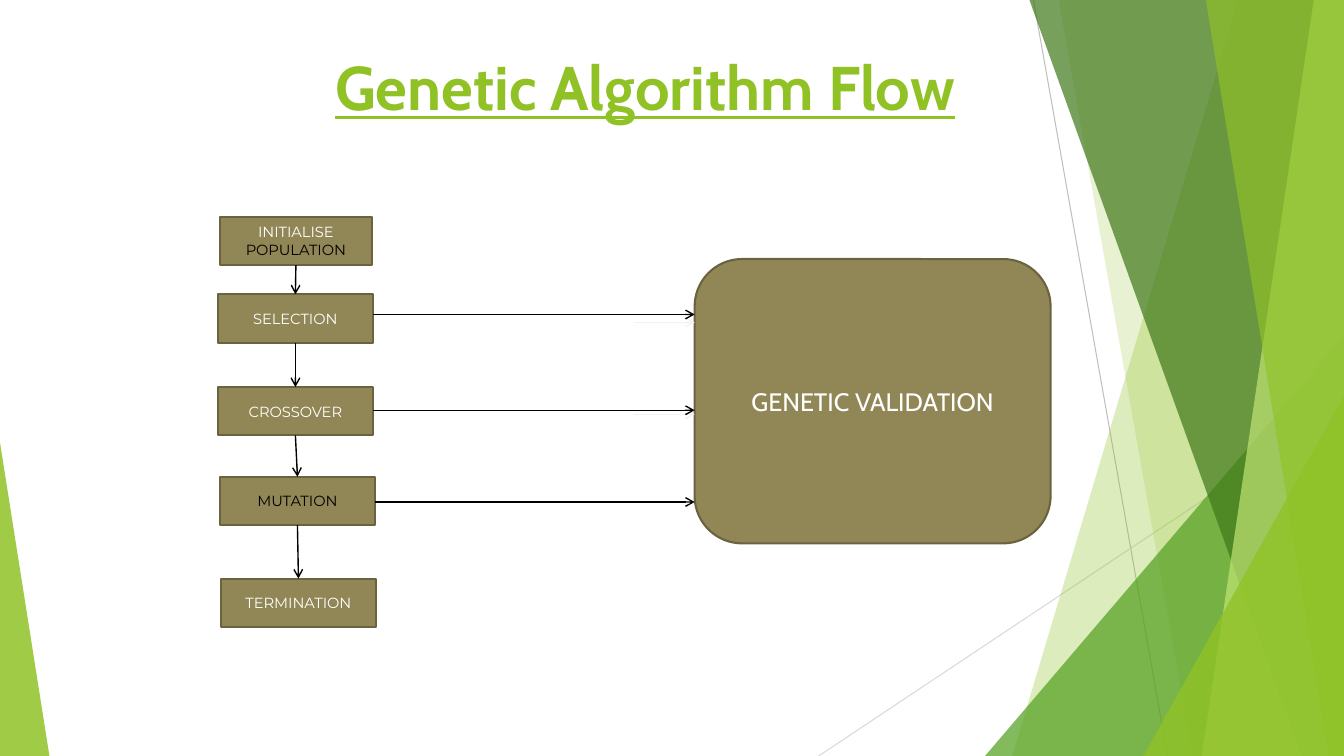
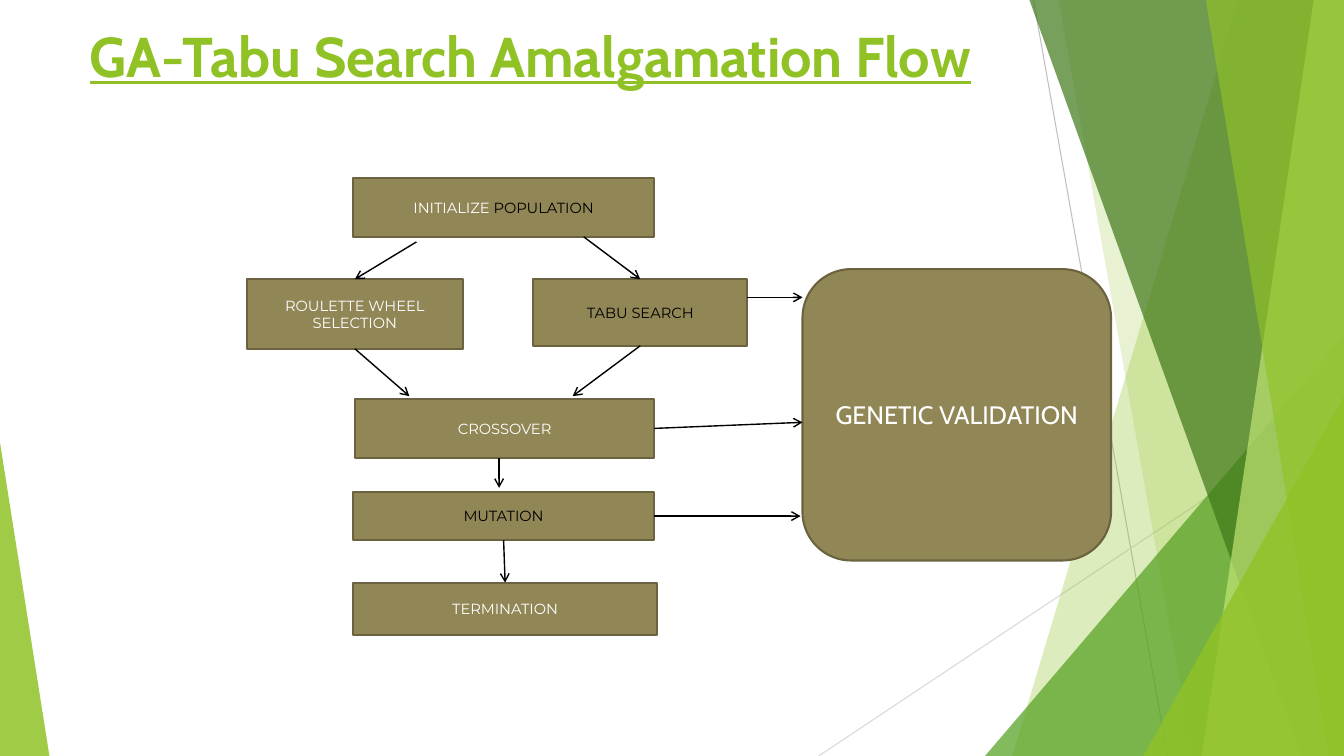
from dataclasses import dataclass

from lxml import etree
from pptx import Presentation
from pptx.dml.color import RGBColor
from pptx.enum import shapes, text
from pptx.oxml import ns
from pptx.util import Inches, Pt

WIDTH, HEIGHT = 13.33, 7.5
WHITE, BLACK, PALE = "FFFFFF", "000000", "F2F2F2"
LIME, GREEN, FOREST, LIGHT_LIME = "90C226", "54A021", "3F7819", "C0E474"
OLIVE, DARK_OLIVE = "918655", "6B633F"
TITLE_FONT, STEP_FONT = "Cabin", "Montserrat"

HAIRLINES = [((10.25, 0), (11.58, HEIGHT), "BFBFBF"),
             ((WIDTH, 4.03), (8.12, HEIGHT), "D9D9D9")]
# Bands run to the right edge: left end at the top, left end at the bottom.
# Wedges are right-angled triangles: left, top, width, apex position.
BACK_BANDS = [(12.28, 10.04, LIME, 30), (10.5, 11.83, LIME, 20)]
BACK_WEDGE = (9.77, 3.33, 3.56, 1, GREEN, 72)
FRONT_BANDS = [(10.21, 12.91, FOREST, 70), (13.03, 11.92, LIGHT_LIME, 70),
               (11.96, 13.18, LIME, 65)]
FRONT_WEDGES = [(11.34, 3.93, 1.99, 1, LIME, 80), (0, 4.39, 0.49, 0, LIME, 85)]


def rgb(value):
    return RGBColor.from_string(value)


def paint(shape, color, opacity=100):
    """Give a flat fill of the given opacity, without line or shadow."""
    shape.shadow.inherit = False
    shape.fill.solid()
    shape.fill.fore_color.rgb = rgb(color)
    shape.line.fill.background()
    if opacity < 100:
        tint = shape._element.spPr.find(ns.qn("a:solidFill"))[0]
        etree.SubElement(tint, ns.qn("a:alpha"), val=str(opacity * 1000))


def style_run(run, font, size, color):
    run.font.name = font
    run.font.size = Pt(size)
    run.font.color.rgb = rgb(color)


def draw_line(slide, start, end, color, weight, arrow=False):
    points = [Inches(value) for value in (*start, *end)]
    line = slide.shapes.add_connector(shapes.MSO_CONNECTOR.STRAIGHT, *points)
    line.line.color.rgb = rgb(color)
    line.line.width = Pt(weight)
    if arrow:
        outline = line._element.spPr.find(ns.qn("a:ln"))
        etree.SubElement(outline, ns.qn("a:tailEnd"), type="arrow")
    etree.SubElement(line._element.spPr, ns.qn("a:effectLst"))


def draw_band(slide, top_left, bottom_left, color, opacity):
    outline = slide.shapes.build_freeform(Inches(top_left), 0)
    corners = [(WIDTH, 0), (WIDTH, HEIGHT), (bottom_left, HEIGHT)]
    outline.add_line_segments([(Inches(x), Inches(y)) for x, y in corners])
    paint(outline.convert_to_shape(), color, opacity)


def draw_wedge(slide, left, top, width, apex, color, opacity):
    wedge = slide.shapes.add_shape(
        shapes.MSO_SHAPE.ISOSCELES_TRIANGLE, Inches(left), Inches(top),
        Inches(width), Inches(HEIGHT - top))
    wedge.adjustments[0] = apex
    paint(wedge, color, opacity)


def draw_facets(slide):
    """Draw the green facets along both edges of the slide."""
    for start, end, color in HAIRLINES:
        draw_line(slide, start, end, color, 0.75)
    for band in BACK_BANDS:
        draw_band(slide, *band)
    draw_wedge(slide, *BACK_WEDGE)
    for band in FRONT_BANDS:
        draw_band(slide, *band)
    for wedge in FRONT_WEDGES:
        draw_wedge(slide, *wedge)


def add_title(slide, wording, left, top, width, height, size):
    title = slide.shapes.add_textbox(
        Inches(left), Inches(top), Inches(width), Inches(height))
    title.text_frame.word_wrap = True
    paragraph = title.text_frame.paragraphs[0]
    paragraph.text = wording
    paragraph.alignment = text.PP_ALIGN.CENTER
    run = paragraph.runs[0]
    style_run(run, TITLE_FONT, size, LIME)
    run.font.bold = run.font.underline = True


@dataclass
class Box:
    left: float
    top: float
    width: float
    height: float

    @property
    def right(self):
        return self.left + self.width

    @property
    def top_middle(self):
        return self.left + self.width / 2, self.top

    @property
    def bottom_middle(self):
        return self.left + self.width / 2, self.top + self.height

    @property
    def right_middle(self):
        return self.right, self.top + self.height / 2


@dataclass
class Flow:
    """A flow chart whose parts are placed from its left top corner."""
    slide: object
    left: float
    top: float

    def block(self, box, wording, font=STEP_FONT, size=10.5,
              kind=shapes.MSO_SHAPE.RECTANGLE):
        """Draw a box; wording is a list of (text, colour)."""
        shape = self.slide.shapes.add_shape(
            kind, Inches(self.left + box.left), Inches(self.top + box.top),
            Inches(box.width), Inches(box.height))
        paint(shape, OLIVE)
        shape.line.color.rgb = rgb(DARK_OLIVE)
        shape.line.width = Pt(1.5)
        frame = shape.text_frame
        frame.word_wrap = True
        frame.vertical_anchor = text.MSO_ANCHOR.MIDDLE
        paragraph = frame.paragraphs[0]
        paragraph.alignment = text.PP_ALIGN.CENTER
        for words, color in wording:
            run = paragraph.add_run()
            run.text = words
            style_run(run, font, size, color)
        return box

    def validation(self, box):
        return self.block(box, [("GENETIC VALIDATION", WHITE)], TITLE_FONT, 18,
                          shapes.MSO_SHAPE.ROUNDED_RECTANGLE)

    def arrow(self, start, end, color=BLACK):
        start, end = [(self.left + x, self.top + y) for x, y in (start, end)]
        draw_line(self.slide, start, end, color, 1, arrow=True)


def draw_genetic_flow(slide, left, top):
    flow = Flow(slide, left, top)
    steps = [
        flow.block(Box(x, y, width, 0.48), wording) for x, y, width, wording in [
            (0.02, 0, 1.51, [("INITIALISE ", WHITE), ("POPULATION", BLACK)]),
            (0, 0.77, 1.54, [("SELECTION", WHITE)]),
            (0, 1.69, 1.54, [("CROSSOVER", WHITE)]),
            (0.02, 2.58, 1.54, [("MUTATION", BLACK)]),
            (0.03, 3.59, 1.54, [("TERMINATION", WHITE)])]]
    validation = flow.validation(Box(4.73, 0.42, 3.53, 2.82))
    for y in (1.05, 1.96):
        flow.arrow((validation.left - 0.6, y), (validation.left, y), PALE)
    for step, following in zip(steps, steps[1:]):
        flow.arrow(step.bottom_middle, following.top_middle)
    for step, y in zip(steps[1:4], (0.97, 1.92, 2.83)):
        flow.arrow((step.right, y), (validation.left, y))


def draw_amalgamation_flow(slide, left, top):
    flow = Flow(slide, left, top)
    initial = flow.block(Box(1.05, 0, 2.99, 0.58),
                         [("INITIALIZE ", WHITE), ("POPULATION", BLACK)])
    roulette = flow.block(Box(0, 1, 2.14, 0.69),
                          [("ROULETTE WHEEL SELECTION", WHITE)])
    tabu = flow.block(Box(2.84, 1, 2.12, 0.66), [("TABU SEARCH", BLACK)])
    crossover = flow.block(Box(1.07, 2.19, 2.97, 0.58), [("CROSSOVER", WHITE)])
    mutation = flow.block(Box(1.05, 3.11, 2.99, 0.48), [("MUTATION", BLACK)])
    termination = flow.block(Box(1.05, 4.01, 3.02, 0.52),
                             [("TERMINATION", WHITE)])
    validation = flow.validation(Box(5.51, 0.9, 3.06, 2.89))
    for start, end in [
            ((1.68, 0.63), roulette.top_middle),
            ((3.34, initial.height), tabu.top_middle),
            (roulette.bottom_middle, (1.61, 2.16)),
            (tabu.bottom_middle, (3.23, 2.16)),
            ((2.5, 2.77), (2.5, 3.07)),
            (mutation.bottom_middle, termination.top_middle),
            ((tabu.right, 1.18), (validation.left, 1.18)),
            (crossover.right_middle, (validation.left, 2.42)),
            (mutation.right_middle, (validation.left - 0.02, 3.35))]:
        flow.arrow(start, end)


def add_slide(deck):
    slide = deck.slides.add_slide(deck.slide_layouts[6])
    draw_facets(slide)
    return slide


def main():
    deck = Presentation()
    deck.slide_width, deck.slide_height = Inches(WIDTH), Inches(HEIGHT)

    genetic = add_slide(deck)
    draw_genetic_flow(genetic, 2.16, 2.15)
    add_title(genetic, "Genetic Algorithm Flow", 1.4, 0.44, 10, 1.02, 44)

    amalgamation = add_slide(deck)
    draw_amalgamation_flow(amalgamation, 2.45, 1.77)
    add_title(amalgamation, "GA-Tabu Search Amalgamation Flow",
              0.18, 0.16, 10.16, 1.31, 40)

    deck.save("out.pptx")


if __name__ == "__main__":
    main()
